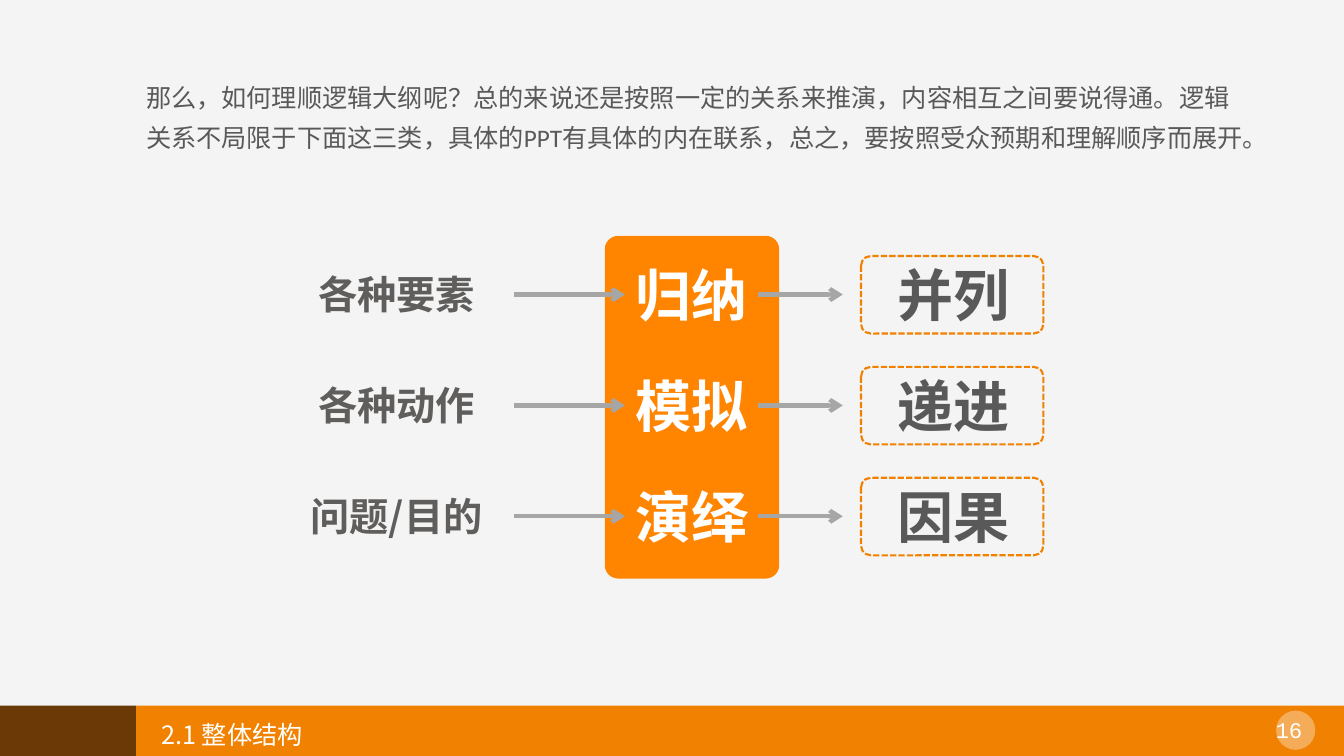
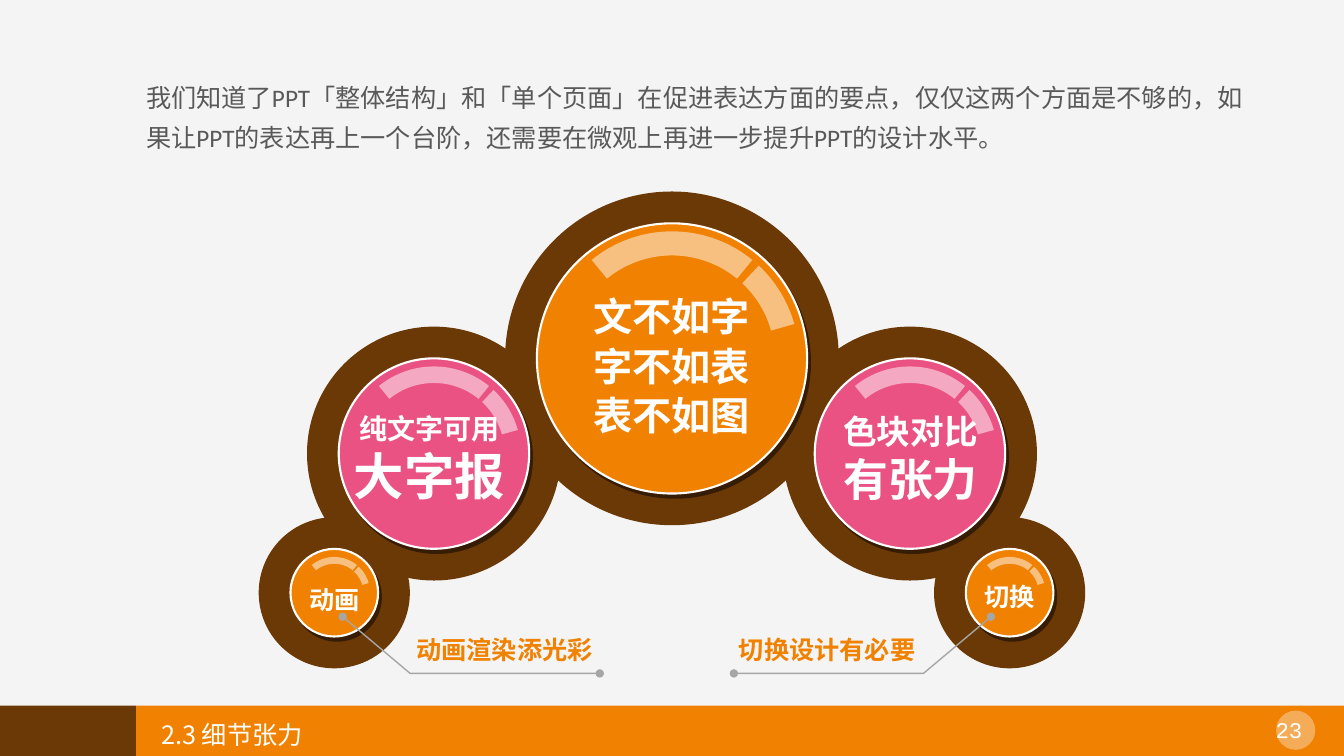
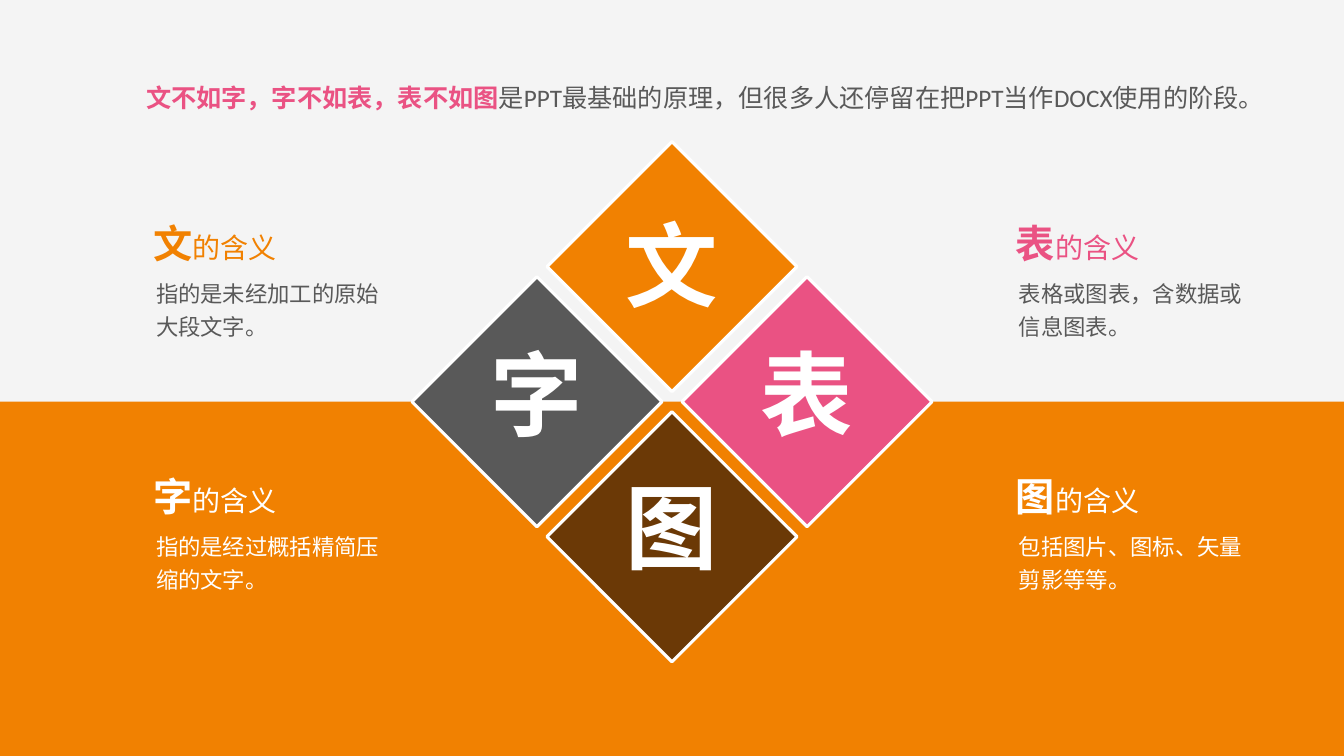
from lxml.etree import SubElement
from pptx import Presentation
from pptx.dml.color import RGBColor
from pptx.enum.dml import MSO_LINE
from pptx.enum.shapes import MSO_CONNECTOR, MSO_SHAPE
from pptx.enum.text import MSO_ANCHOR, MSO_AUTO_SIZE, PP_ALIGN
from pptx.oxml.ns import qn
from pptx.util import Pt

C = {
    "paper": "F4F4F4", "white": "FFFFFF", "black": "000000", "brown": "6B3906",
    "orange": "F18101", "bright": "FF8500", "pink": "EA5283",
    "ink": "595959", "label": "5F5E5C", "rule": "A6A6A6",
}
CJK, LATIN, HEAD, MONO = "Noto Sans CJK SC", "Calibri", "Open Sans", "Courier New"
WIDTH, HEIGHT, BAND_TOP, BAND_SPLIT = 960, 540, 504, 97.2

# Content: a run is (text, size, colour, bold)
LOGIC = {
    "title": "2.1 整体结构", "number": "16",
    "intro": [("那么，如何理顺逻辑大纲呢？总的来说还是按照一定的关系来推演，内容相互之间要说得通。"
               "逻辑关系不局限于下面这三类，具体的PPT有具体的内在联系，总之，"
               "要按照受众预期和理解顺序而展开。", 18, "ink", False)],
    "rows": [("各种要素", "归纳", "并列"),
             ("各种动作", "模拟", "递进"),
             ("问题/目的", "演绎", "因果")],
}
DETAIL = {
    "title": "2.3 细节张力", "number": "23",
    "intro": [("我们知道了PPT「整体结构」和「单个页面」在促进表达方面的要点，仅仅这两个方面是不够的，"
               "如果让PPT的表达再上一个台阶，还需要在微观上再进一步提升PPT的设计水平。",
               18, "ink", False)],
    # centre x, centre y, disc diameter, colour
    "discs": [(721.2, 423.4, 62.6, "orange"), (238.8, 423.4, 62.6, "orange"),
              (650, 324, 136, "pink"), (310, 324, 136, "pink"),
              (480, 256, 193, "orange")],
    # centre x, top, width, height, line spacing, lines of (text, size), colour
    "labels": [
        (238.8, 414, 51, 29, 1, [("动画", 18)], "white"),
        (721.2, 411.8, 51, 29, 1, [("切换", 18)], "white"),
        (306.7, 290.2, 124, 75, 1, [("纯文字可用", 20), ("大字报", 36)], "white"),
        (650.4, 290.2, 112, 75, 1, [("色块对比", 24), ("有张力", 32)], "white"),
        (479.5, 203.8, 128, 112, 1.05,
         [("文不如字", 28), ("字不如表", 28), ("表不如图", 28)], "white"),
        (360.4, 449.3, 142, 29, 1, [("动画渲染添光彩", 18)], "orange"),
        (590.8, 449.3, 142, 29, 1, [("切换设计有必要", 18)], "orange"),
    ],
    "leader": [(244.8, 440.5), (293, 481), (428.4, 481)],
}
MEANING = {
    "intro": [("文不如字，字不如表，表不如图", 18, "pink", True),
              ("是PPT最基础的原理，但很多人还停留在把PPT当作DOCX使用的阶段。", 18, "ink", False)],
    # letter, column and row of the diamond, colour, top of the letter
    "diamonds": [("文", 0, -1, "orange", 145.4), ("表", 1, 0, "pink", 237.6),
                 ("字", -1, 0, "ink", 237.6), ("图", 0, 1, "brown", 331.9)],
    # letter, meaning, left, top, heading colour, text colour
    "notes": [("文", "指的是未经加工的原始大段文字。", 104.4, 153.4, "orange", "ink"),
              ("表", "表格或图表，含数据或信息图表。", 720.7, 153.4, "pink", "ink"),
              ("字", "指的是经过概括精简压缩的文字。", 104.4, 334.3, "white", "white"),
              ("图", "包括图片、图标、矢量剪影等等。", 720.7, 334.3, "white", "white")],
}


def rgb(name):
    return RGBColor.from_string(C[name])


def write(shape, paragraphs, font=LATIN, align=PP_ALIGN.LEFT, spacing=1, wrap=True):
    """Fill a text frame with paragraphs, each a list of runs."""
    tf = shape.text_frame
    frame = {"word_wrap": wrap, "auto_size": MSO_AUTO_SIZE.NONE,
             "vertical_anchor": MSO_ANCHOR.TOP}
    for key, value in frame.items():
        setattr(tf, key, value)
    for i, runs in enumerate(paragraphs):
        p = tf.add_paragraph() if i else tf.paragraphs[0]
        p.alignment, p.line_spacing = align, spacing
        for text, size, color, bold in runs:
            r = p.add_run()
            r.text = text
            for key, value in {"name": font, "size": Pt(size), "bold": bold}.items():
                setattr(r.font, key, value)
            r.font.color.rgb = rgb(color)
            SubElement(r._r.get_or_add_rPr(), qn("a:ea"), typeface=CJK)


def add_text(slide, box, paragraphs, **style):
    tb = slide.shapes.add_textbox(*map(Pt, box))
    write(tb, paragraphs, **style)
    return tb


def add_shape(slide, kind, box, fill=None, line=None, width=1, adjust=(), alpha=None):
    sp = slide.shapes.add_shape(kind, *map(Pt, box))
    sp.shadow.inherit = False
    for i, value in enumerate(adjust):
        sp.adjustments[i] = value
    if fill:
        sp.fill.solid()
        sp.fill.fore_color.rgb = rgb(fill)
        if alpha:
            color = sp._element.spPr.find(qn("a:solidFill"))[0]
            SubElement(color, qn("a:alpha"), val=str(alpha * 1000))
    else:
        sp.fill.background()
    if line:
        sp.line.color.rgb = rgb(line)
        sp.line.width = Pt(width)
    else:
        sp.line.fill.background()
    return sp


def around(x, y, size):
    """Box of a square centred on a point."""
    return x - size / 2, y - size / 2, size, size


def style_line(line, width, **ends):
    line.color.rgb = rgb("rule")
    line.width = Pt(width)
    for end, kind in ends.items():
        SubElement(line._get_or_add_ln(), qn(f"a:{end}"), type=kind)


def connect(slide, start, finish):
    """Arrow from the right side of one box to the left side of the next."""
    cn = slide.shapes.add_connector(MSO_CONNECTOR.STRAIGHT, 0, 0, 0, 0)
    cn.begin_connect(start, 3)
    cn.end_connect(finish, 1)
    style_line(cn.line, 3, tailEnd="arrow")
    SubElement(cn._element.spPr, qn("a:effectLst"))


def drop_shadow(sp):
    effects = sp._element.spPr.find(qn("a:effectLst"))
    shadow = SubElement(effects, qn("a:outerShdw"), blurRad="0", dist=str(Pt(3.6)),
                        dir=str(56 * 60000), algn="ctr", rotWithShape="0")
    color = SubElement(shadow, qn("a:srgbClr"), val=C["black"])
    SubElement(color, qn("a:alpha"), val="50000")


def add_bands(slide, layout):
    """Draw the footer bands and move them to the layout."""
    for ph in list(layout.placeholders)[1:]:
        ph._element.getparent().remove(ph._element)
    bands = [
        add_shape(slide, MSO_SHAPE.RECTANGLE,
                  (0, BAND_TOP, BAND_SPLIT, HEIGHT - BAND_TOP), "brown"),
        add_shape(slide, MSO_SHAPE.RECTANGLE,
                  (BAND_SPLIT, BAND_TOP, WIDTH - BAND_SPLIT, HEIGHT - BAND_TOP), "orange"),
        add_shape(slide, MSO_SHAPE.OVAL, around(925.5, 521.6, 28), "white", alpha=35),
    ]
    for i, band in enumerate(bands):
        layout.shapes._spTree.insert(2 + i, band._element)


def add_intro(slide, runs):
    add_text(slide, (97.2, 49, 802, 62), [runs], spacing=1.3)


def add_titled(prs, content):
    slide = prs.slides.add_slide(prs.slide_layouts[5])
    title = slide.shapes.title
    box = {"left": 108, "top": BAND_TOP, "width": 415.4, "height": 33}
    for key, value in box.items():
        setattr(title, key, Pt(value))
    write(title, [[(content["title"], 18, "white", False)]], font=CJK, spacing=1.3)
    add_text(slide, (895.2, 508.3, 51, 27), [[(content["number"], 16, "white", False)]],
             font=MONO, align=PP_ALIGN.CENTER)
    add_intro(slide, content["intro"])
    return slide


def draw_logic(slide):
    middle, pitch = 289.6, 79.2
    add_shape(slide, MSO_SHAPE.ROUNDED_RECTANGLE, (432, 168.5, 124.6, 244.8), "bright",
              adjust=[0.077])
    # left, width, height, size, colour of each column
    columns = [(199.4, 167.8, 41, 28, "label"), (446.4, 95.4, 55.4, 40, "white"),
               (602, 158.4, 55.4, 40, "ink")]
    for i, row in enumerate(LOGIC["rows"]):
        y = middle + (i - 1) * pitch
        cells = [add_text(slide, (x, y - h / 2, w, h), [[(text, size, color, True)]],
                          font=CJK, align=PP_ALIGN.CENTER)
                 for text, (x, w, h, size, color) in zip(row, columns)]
        for start, finish in zip(cells, cells[1:]):
            connect(slide, start, finish)
        frame = add_shape(slide, MSO_SHAPE.ROUNDED_RECTANGLE, (615, y - 27.5, 130.3, 55.4),
                          line="orange", width=1.5, adjust=[0.126])
        frame.line.dash_style = MSO_LINE.SQUARE_DOT


def draw_detail(slide):
    discs = DETAIL["discs"]
    for x, y, size, _ in discs:
        add_shape(slide, MSO_SHAPE.OVAL, around(x, y, size + 45.4), "brown")
    for x, y, size, color in discs:
        drop_shadow(add_shape(slide, MSO_SHAPE.OVAL, around(x, y, size), color, "white", 1.5))
        for start, end in ((230.8, 309.2), (313.1, 344.3)):
            add_shape(slide, MSO_SHAPE.BLOCK_ARC, around(x, y, size - 11.5), "white",
                      adjust=[start * 0.6, end * 0.6, 0.095], alpha=50)
    for x, top, w, h, spacing, lines, color in DETAIL["labels"]:
        add_text(slide, (x - w / 2, top, w, h),
                 [[(text, size, color, True)] for text, size in lines],
                 align=PP_ALIGN.CENTER, spacing=spacing, wrap=False)
    left = DETAIL["leader"]
    for points in (left, [(952.6 - x, y) for x, y in left]):
        corners = [(Pt(x), Pt(y)) for x, y in points]
        builder = slide.shapes.build_freeform(*corners[0])
        builder.add_line_segments(corners[1:], close=False)
        leader = builder.convert_to_shape()
        leader.shadow.inherit = False
        leader.fill.background()
        style_line(leader.line, 1, headEnd="oval", tailEnd="oval")


def draw_meaning(slide):
    horizon, step, size = 286.9, 96.5, 178.6
    add_shape(slide, MSO_SHAPE.RECTANGLE, (0, horizon, WIDTH, HEIGHT - horizon), "orange")
    for letter, col, row, color, top in MEANING["diamonds"]:
        x, y = WIDTH / 2 + col * step, horizon + row * step
        add_shape(slide, MSO_SHAPE.DIAMOND, around(x, y, size), color, "white", 2.25)
        add_text(slide, (x - 40.7, top, 81.4, 87), [[(letter, 66, "white", True)]],
                 align=PP_ALIGN.CENTER, wrap=False)
    for letter, meaning, x, y, head, body in MEANING["notes"]:
        heading = [(letter, 28, head, True), ("的含义", 20, head, False)]
        tb = add_text(slide, (x, y, 185, 39.6), [heading], font=HEAD)
        tb.text_frame.margin_left = tb.text_frame.margin_right = Pt(5)
        tb.text_frame.margin_top = tb.text_frame.margin_bottom = Pt(2.9)
        add_text(slide, (x, y + 38.5, 185, 54.7), [[(meaning, 16, body, False)]],
                 font=CJK, spacing=1.23)


def main():
    prs = Presentation()
    prs.slide_width, prs.slide_height = Pt(WIDTH), Pt(HEIGHT)
    background = prs.slide_master.background.fill
    background.solid()
    background.fore_color.rgb = rgb("paper")

    logic = add_titled(prs, LOGIC)
    add_bands(logic, logic.slide_layout)
    draw_logic(logic)

    draw_detail(add_titled(prs, DETAIL))

    meaning = prs.slides.add_slide(prs.slide_layouts[6])
    draw_meaning(meaning)
    add_intro(meaning, MEANING["intro"])

    prs.save("out.pptx")


if __name__ == "__main__":
    main()
